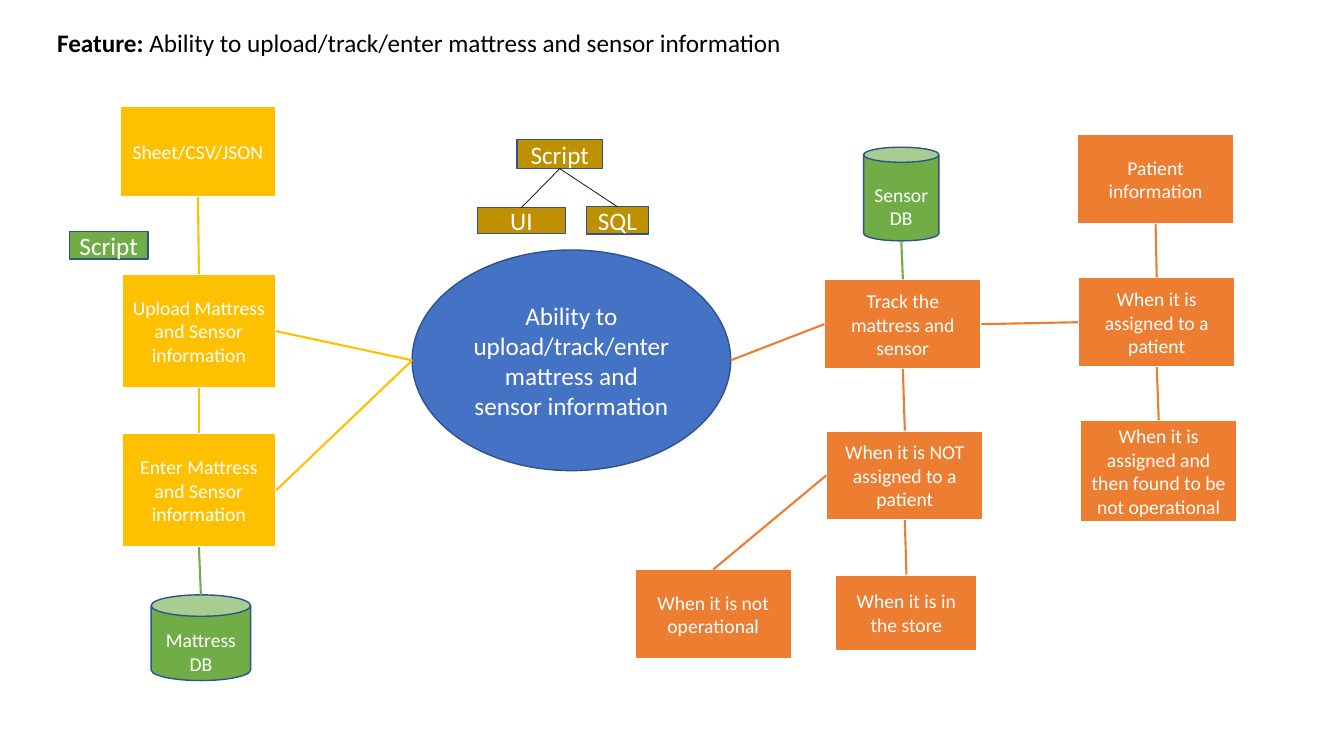
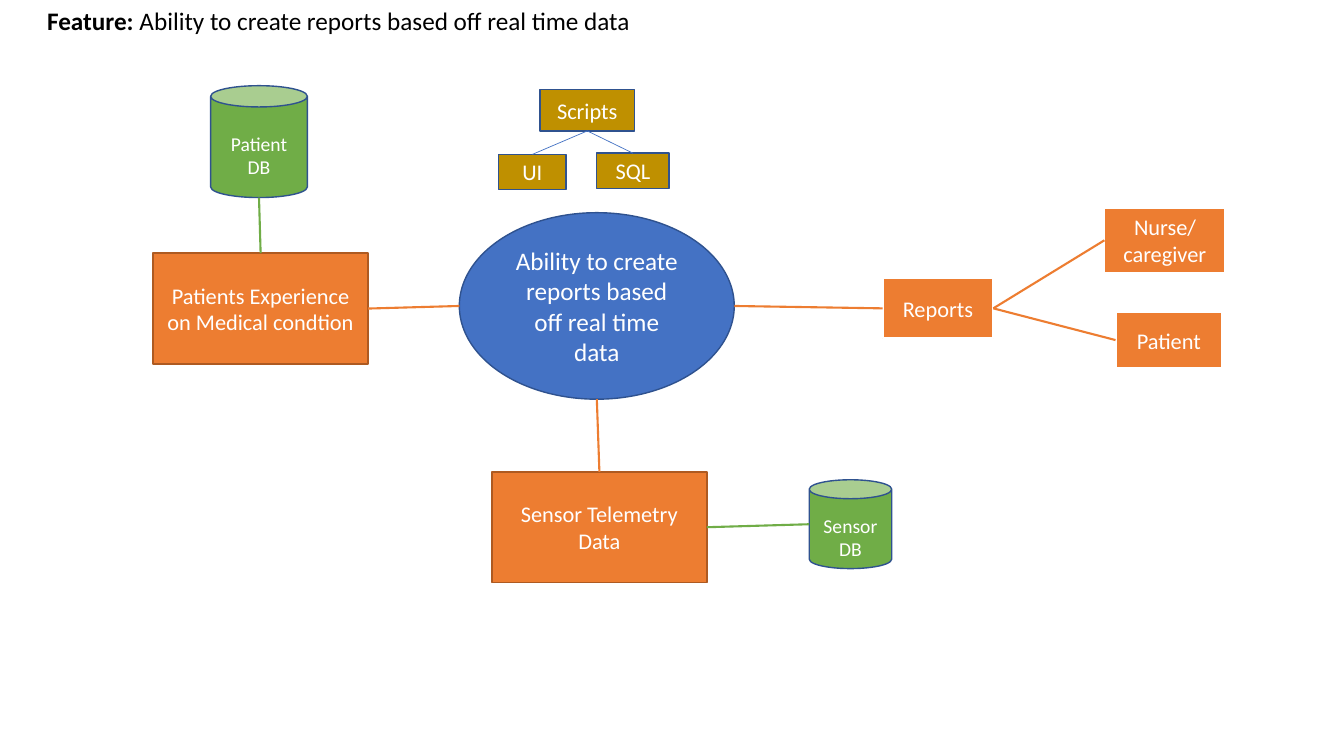
from dataclasses import dataclass
from lxml import etree
from pptx import Presentation
from pptx.dml.color import RGBColor
from pptx.enum.shapes import MSO_CONNECTOR as Connector, MSO_SHAPE as Preset
from pptx.enum.text import MSO_ANCHOR as Anchor, PP_ALIGN as Align
from pptx.oxml.ns import qn
from pptx.util import Cm, Pt

TOP, LEFT, BOTTOM, RIGHT = range(4)


@dataclass(frozen=True)
class Theme:
    font: str = "Calibri"
    white: str = "FFFFFF"
    black: str = "000000"
    blue: str = "4472C4"
    navy: str = "2F528F"
    orange: str = "ED7D31"
    rust: str = "AE5A21"
    yellow: str = "FFC000"
    gold: str = "BF9000"
    green: str = "70AD47"
    large: int = 18
    medium: int = 16
    small: int = 14
    hairline: float = 0.5
    outline: float = 1
    thick: float = 1.5


class FeatureMap:
    """Draws feature diagrams, one slide at a time."""

    def __init__(self, theme):
        self.theme = theme
        self.deck = Presentation()
        self.deck.slide_width, self.deck.slide_height = Cm(33.88), Cm(19.05)
        self.slide = None

    def new_slide(self, feature, left, top):
        self.slide = self.deck.slides.add_slide(self.deck.slide_layouts[6])
        title = self.slide.shapes.add_textbox(Cm(left), Cm(top), Cm(31.6), Cm(1.02))
        title.text_frame.word_wrap = True
        paragraph = title.text_frame.paragraphs[0]
        for words, bold in (("Feature: ", True), (feature, False)):
            run = paragraph.add_run()
            run.text = words
            self.style_font(run.font, self.theme.large, self.theme.black, bold)

    def style_font(self, font, size, color, bold=False):
        for key, value in {"name": self.theme.font, "size": Pt(size), "bold": bold}.items():
            setattr(font, key, value)
        font.color.rgb = RGBColor.from_string(color)

    def style_line(self, line, color, width):
        line.color.rgb = RGBColor.from_string(color)
        line.width = Pt(width)

    def node(self, preset, words, box, fill, size, edge, width):
        shape = self.slide.shapes.add_shape(preset, *map(Cm, box))
        shape.shadow.inherit = False
        shape.fill.solid()
        shape.fill.fore_color.rgb = RGBColor.from_string(fill)
        self.style_line(shape.line, edge, width)
        frame = shape.text_frame
        for key, value in {"word_wrap": True, "vertical_anchor": Anchor.MIDDLE}.items():
            setattr(frame, key, value)
        paragraph = frame.paragraphs[0]
        paragraph.alignment = Align.CENTER
        run = paragraph.add_run()
        run.text = words
        self.style_font(run.font, size, self.theme.white)
        return shape

    def hub(self, words, box):
        t = self.theme
        return self.node(Preset.OVAL, words, box, t.blue, t.large, t.navy, t.outline)

    def step(self, words, box, fill, size):
        """A box with a white edge."""
        t = self.theme
        return self.node(Preset.RECTANGLE, words, box, fill, size, t.white, t.thick)

    def source(self, words, box):
        """A large box with a dark orange edge."""
        t = self.theme
        return self.node(Preset.RECTANGLE, words, box, t.orange, t.medium, t.rust, t.outline)

    def tag(self, words, box, fill, size):
        t = self.theme
        return self.node(Preset.RECTANGLE, words, box, fill, size, t.navy, t.outline)

    def database(self, words, box, lid):
        t = self.theme
        can = self.node(Preset.CAN, words, box, t.green, t.small, t.navy, t.outline)
        can.adjustments[0] = lid
        can.text_frame.margin_top = Cm(0.55)
        return can

    def script_tree(self, root, root_box, ui_box, sql_box, size, color):
        """A script tag that branches to UI and SQL."""
        parent = self.tag(root, root_box, self.theme.gold, size)
        for words, box in (("UI", ui_box), ("SQL", sql_box)):
            child = self.tag(words, box, self.theme.gold, size)
            self.link(parent, BOTTOM, child, TOP, color, self.theme.hairline)

    @staticmethod
    def side_middle(shape, side):
        across, down = {TOP: (1, 0), LEFT: (0, 1), BOTTOM: (1, 2), RIGHT: (2, 1)}[side]
        return (shape.left + shape.width * across // 2,
                shape.top + shape.height * down // 2)

    def link(self, start, start_side, end, end_side, color, width=None):
        line = self.slide.shapes.add_connector(
            Connector.STRAIGHT,
            *self.side_middle(start, start_side), *self.side_middle(end, end_side))
        self.style_line(line.line, color, width or self.theme.thick)
        properties = line._element.find(qn("p:spPr"))
        etree.SubElement(properties, qn("a:effectLst"))
        # Only rectangles number their joints by these four sides
        for join, shape, side in ((line.begin_connect, start, start_side),
                                  (line.end_connect, end, end_side)):
            if shape.auto_shape_type == Preset.RECTANGLE:
                join(shape, side)


def mattress_slide(page):
    t = page.theme
    feature = "Ability to upload/track/enter mattress and sensor information"
    page.new_slide(feature, 1.19, 0.56)
    hub = page.hub(feature, (10.39, 6.3, 8.03, 5.56))
    page.script_tree("Script", (13.03, 3.51, 2.16, 0.74), (12.04, 5.23, 2.21, 0.66),
                     (14.78, 5.21, 1.57, 0.69), t.large, t.black)

    # Data entry on the left
    files = page.step("Sheet/CSV/JSON", (3.02, 2.67, 3.94, 2.29), t.yellow, t.small)
    upload, enter = [
        page.step(f"{verb} Mattress and Sensor information", (3.07, top, 3.89, 2.87),
                  t.yellow, t.small)
        for verb, top in (("Upload", 6.91), ("Enter", 10.92))]
    page.tag("Script", (1.75, 5.84, 1.98, 0.69), t.green, t.large)
    mattress_db = page.database("Mattress DB", (3.81, 14.99, 2.51, 2.16), 0.25)

    # Tracking on the right
    sensor_db = page.database("Sensor DB", (21.77, 3.71, 1.9, 2.36), 0.2)
    track, unassigned, broken, in_store, patient, assigned, failed = [
        page.step(words, (left, top, width, height), t.orange, t.small)
        for words, left, top, width, height in (
            ("Track the mattress and sensor", 20.78, 7.04, 3.96, 2.26),
            ("When it is NOT assigned to a patient", 20.83, 10.85, 3.96, 2.26),
            ("When it is not operational", 16, 14.35, 3.96, 2.26),
            ("When it is in the store", 21.06, 14.48, 3.58, 1.93),
            ("Patient information", 27.15, 3.38, 3.96, 2.26),
            ("When it is assigned to a patient", 27.18, 6.99, 3.96, 2.26),
            ("When it is assigned and then found to be not operational",
             27.23, 10.59, 3.96, 2.57))]

    # Links
    for link in (
            (files, BOTTOM, upload, TOP, t.yellow),
            (upload, BOTTOM, enter, TOP, t.yellow),
            (upload, RIGHT, hub, LEFT, t.yellow),
            (enter, RIGHT, hub, LEFT, t.yellow),
            (enter, BOTTOM, mattress_db, TOP, t.green),
            (sensor_db, BOTTOM, track, TOP, t.green),
            (hub, RIGHT, track, LEFT, t.orange),
            (track, RIGHT, assigned, LEFT, t.orange),
            (track, BOTTOM, unassigned, TOP, t.orange),
            (unassigned, LEFT, broken, TOP, t.orange),
            (unassigned, BOTTOM, in_store, TOP, t.orange),
            (patient, BOTTOM, assigned, TOP, t.orange),
            (assigned, BOTTOM, failed, TOP, t.orange)):
        page.link(*link)


def reports_slide(page):
    t = page.theme
    feature = "Ability to create reports based off real time data"
    page.new_slide(feature, 0.94, 0)
    hub = page.hub(feature, (11.58, 5.36, 6.93, 4.7))
    page.script_tree("Scripts", (13.61, 2.26, 2.39, 1.04), (12.57, 3.89, 1.7, 0.89),
                     (15.04, 3.86, 1.83, 0.89), t.medium, t.blue)

    # Data sources
    patient_db = page.database("Patient DB", (5.31, 2.16, 2.44, 2.82), 0.22)
    sensor_db = page.database("Sensor DB", (20.4, 12.09, 2.08, 2.24), 0.23)
    experience = page.source("Patients Experience on Medical condtion",
                             (3.86, 6.38, 5.42, 2.79))
    telemetry = page.source("Sensor Telemetry Data", (12.4, 11.89, 5.42, 2.79))

    # Reports and their readers
    reports, nurse, patient = [
        page.step(words, box, t.orange, t.medium)
        for words, box in (("Reports", (22.25, 7.01, 2.79, 1.52)),
                           ("Nurse/caregiver", (27.84, 5.23, 3.05, 1.65)),
                           ("Patient", (28.12, 7.87, 2.69, 1.4)))]

    # Links
    for link in (
            (patient_db, BOTTOM, experience, TOP, t.green),
            (telemetry, RIGHT, sensor_db, LEFT, t.green),
            (experience, RIGHT, hub, LEFT, t.orange),
            (hub, BOTTOM, telemetry, TOP, t.orange),
            (hub, RIGHT, reports, LEFT, t.orange),
            (reports, RIGHT, nurse, LEFT, t.orange),
            (reports, RIGHT, patient, LEFT, t.orange)):
        page.link(*link)


def main():
    page = FeatureMap(Theme())
    mattress_slide(page)
    reports_slide(page)
    page.deck.save("out.pptx")


if __name__ == "__main__":
    main()
